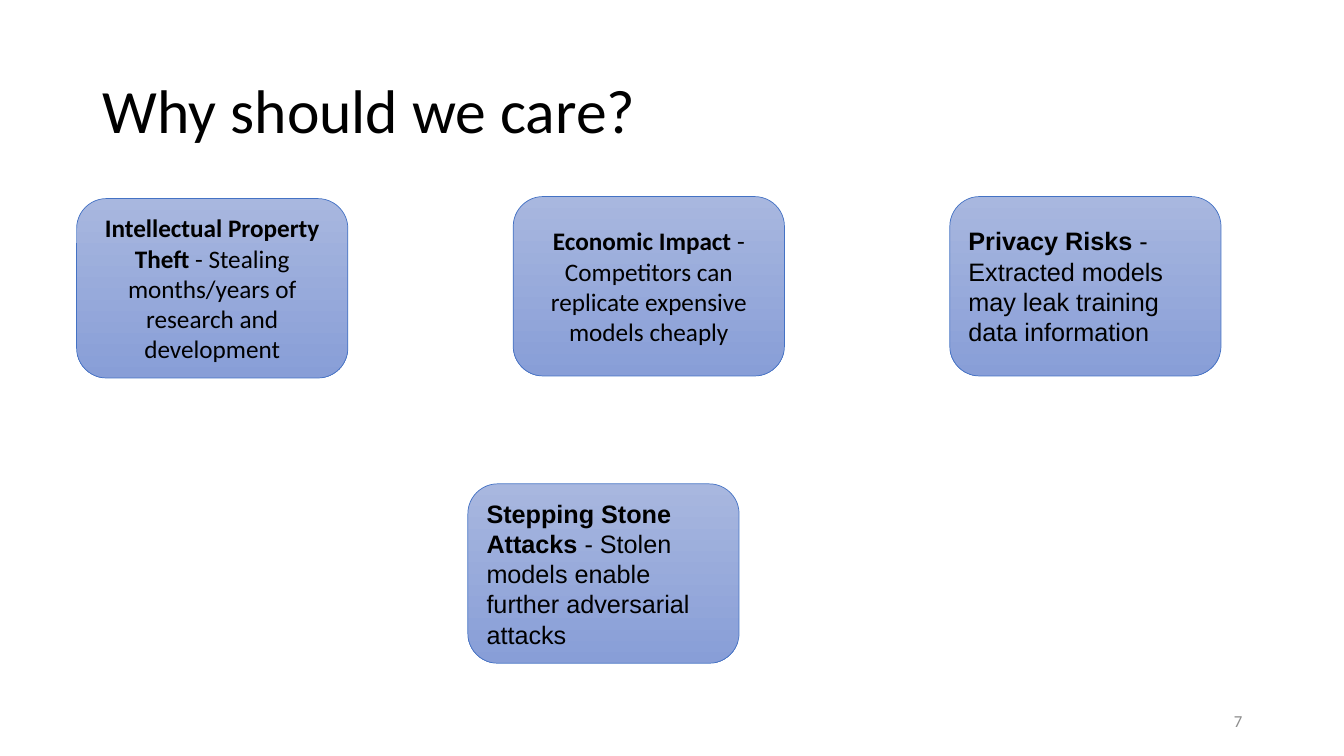
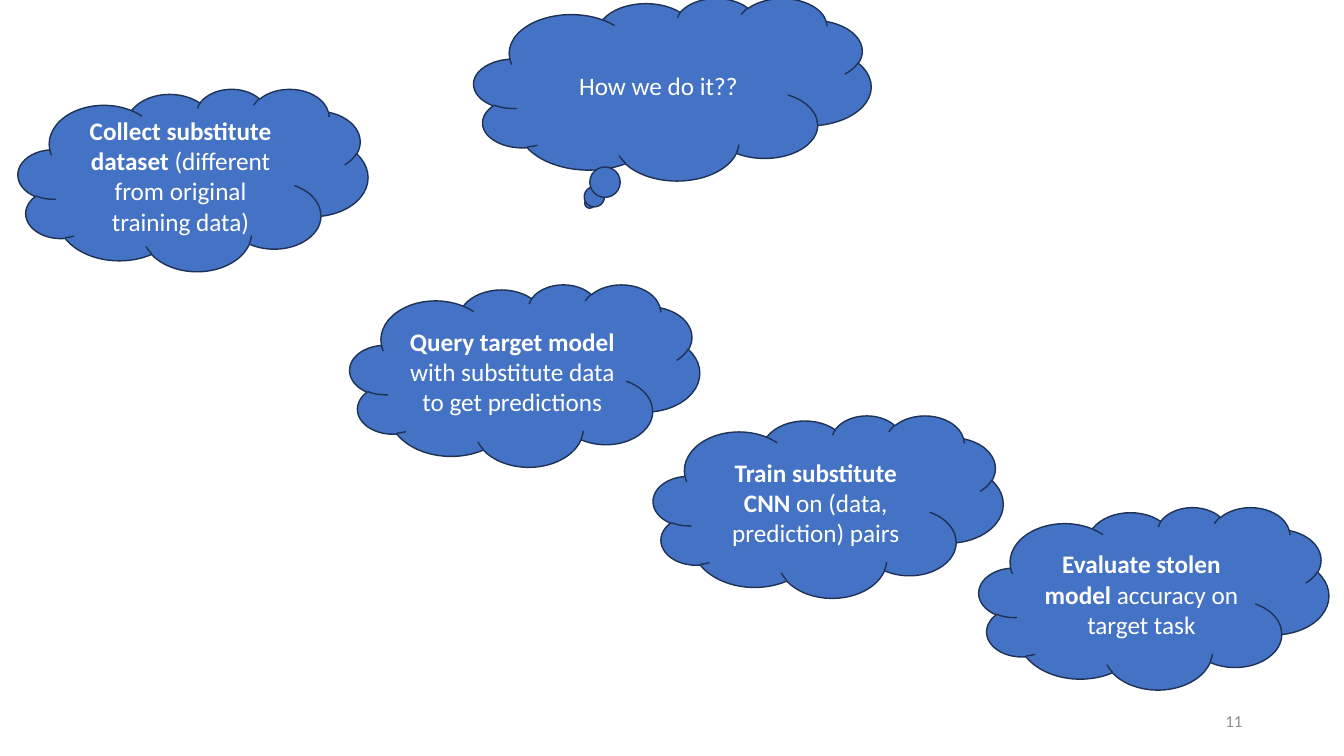
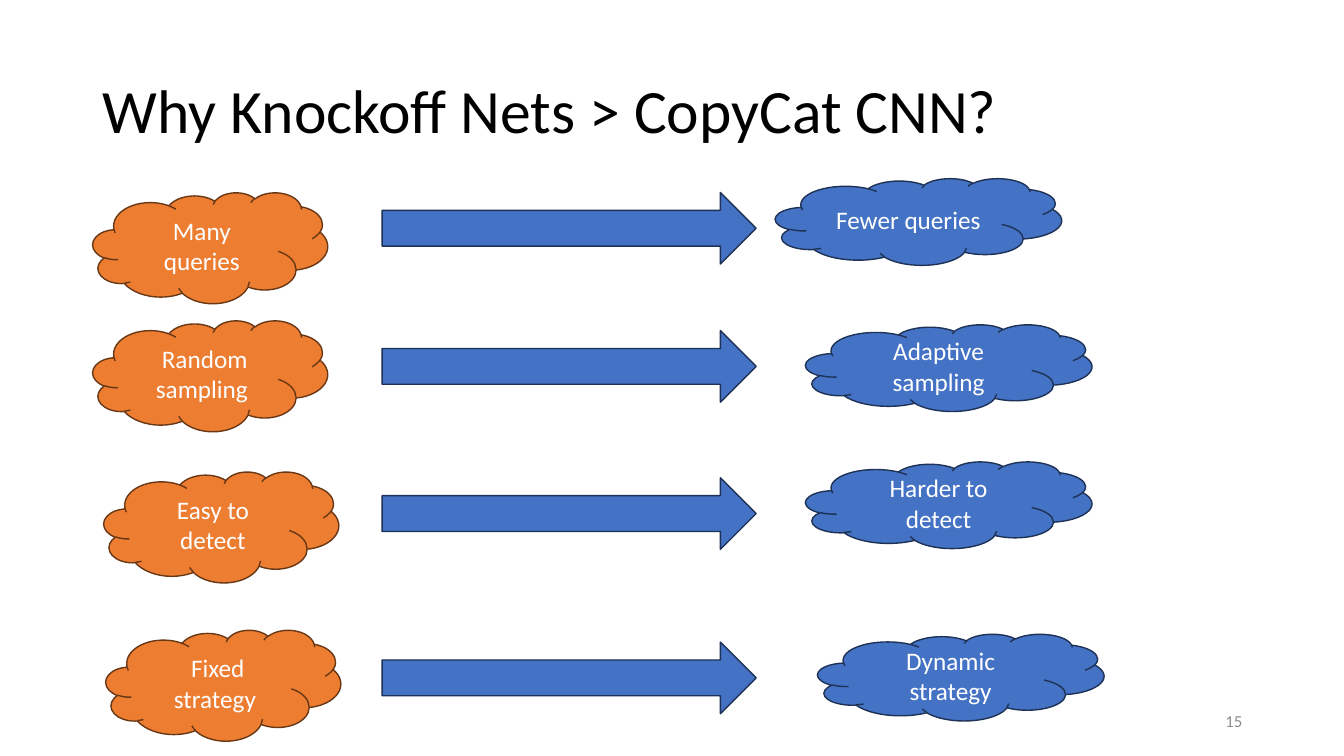
from pptx import Presentation, util as u
from pptx.dml.color import RGBColor
from pptx.enum import shapes, text
from pptx.util import Inches

WHITE = RGBColor(0xFF, 0xFF, 0xFF)
BLACK = RGBColor(0x00, 0x00, 0x00)
GREY = RGBColor(0x8C, 0x8C, 0x8C)
BLUE = RGBColor(0x44, 0x72, 0xC4)
NAVY = RGBColor(0x1E, 0x32, 0x56)
ORANGE = RGBColor(0xED, 0x7D, 0x31)
BROWN = RGBColor(0x68, 0x37, 0x15)
PALE_TOP = RGBColor(0xA8, 0xB7, 0xDF)
PALE_BOTTOM = RGBColor(0x88, 0x9E, 0xD7)
BODY_FONT = "Calibri"
TITLE_ONLY, BLANK = 5, 6
CLOUD = shapes.MSO_SHAPE.CLOUD
LEFT, CENTER, RIGHT = text.PP_ALIGN.LEFT, text.PP_ALIGN.CENTER, text.PP_ALIGN.RIGHT

deck = Presentation()
deck.slide_width, deck.slide_height = Inches(13.33), Inches(7.5)


def write(frame, pieces, size, color, align, font=BODY_FONT):
    frame.word_wrap = True
    frame.auto_size = text.MSO_AUTO_SIZE.NONE
    frame.vertical_anchor = text.MSO_ANCHOR.MIDDLE
    paragraph = frame.paragraphs[0]
    paragraph.alignment = align
    for wording, bold in pieces:
        run = paragraph.add_run()
        run.text = wording
        run.font.name, run.font.size, run.font.bold = font, u.Pt(size), bold
        run.font.color.rgb = color


def add_figure(slide, kind, box, fill=BLUE, outline=NAVY):
    figure = slide.shapes.add_shape(kind, *map(Inches, box))
    figure.shadow.inherit = False
    figure.fill.solid()
    figure.fill.fore_color.rgb = fill
    figure.line.color.rgb = outline
    figure.line.width = u.Pt(1)
    return figure


slides = []
for number, heading in [("7", "Why should we care?"), ("11", None),
                        ("15", "Why Knockoff Nets > CopyCat CNN?")]:
    slide = deck.slides.add_slide(deck.slide_layouts[TITLE_ONLY if heading else BLANK])
    slides.append(slide)
    if heading:
        title = slide.shapes.title
        title.left, title.top = Inches(0.92), Inches(0.4)
        title.width, title.height = Inches(11.5), Inches(1.45)
        write(title.text_frame, [(heading, False)], 44, BLACK, LEFT)
        title.text_frame.paragraphs[0].line_spacing = 0.9
    page = slide.shapes.add_textbox(Inches(9.42), Inches(6.95), Inches(3), Inches(0.4))
    write(page.text_frame, [(number, False)], 12, GREY, RIGHT)

reasons_slide, steps_slide, comparison_slide = slides

reasons = [
    (0.76, 1.97, "Intellectual Property Theft",
     " - Stealing months/years of research and development", CENTER, BODY_FONT),
    (4.64, 4.8, "Stepping Stone Attacks",
     " - Stolen models enable further adversarial attacks", LEFT, "Arial"),
    (5.09, 1.95, "Economic Impact",
     " - Competitors can replicate expensive models cheaply", CENTER, BODY_FONT),
    (9.42, 1.95, "Privacy Risks",
     " - Extracted models may leak training data information", LEFT, "Arial"),
]
for left, top, name, detail, align, font in reasons:
    reason = add_figure(reasons_slide, shapes.MSO_SHAPE.ROUNDED_RECTANGLE,
                        (left, top, 2.69, 1.78), outline=BLUE)
    reason.line.width = u.Pt(0.5)
    reason.fill.gradient()
    reason.fill.gradient_angle = 270
    for stop, color in zip(reason.fill.gradient_stops, (PALE_TOP, PALE_BOTTOM)):
        stop.color.rgb = color
    write(reason.text_frame, [(name, True), (detail, False)], 18, BLACK, align, font)

question = add_figure(steps_slide, shapes.MSO_SHAPE.CLOUD_CALLOUT, (4.7, -0.02, 3.94, 1.81))
write(question.text_frame, [("How we do it??", False)], 18, WHITE, CENTER)

steps = [
    (0.18, 0.88, "Collect substitute dataset", " (different from original training data)"),
    (3.47, 2.82, "Query target model", " with substitute data to get predictions"),
    (6.48, 4.12, "Train substitute CNN", " on (data, prediction) pairs"),
    (9.71, 5.03, "Evaluate stolen model", " accuracy on target task"),
]
for left, top, action, detail in steps:
    step = add_figure(steps_slide, CLOUD, (left, top, 3.47, 1.81))
    write(step.text_frame, [(action, True), (detail, False)], 18, WHITE, CENTER)

comparisons = [
    ((0.92, 1.91), "Many queries", 1.91, (7.69, 1.77), "Fewer queries"),
    ((0.92, 3.18), " Random sampling", 3.28, (7.99, 3.22), "Adaptive sampling"),
    ((1.03, 4.68), "Easy to detect", 4.74, (7.99, 4.58), "Harder to detect"),
    ((1.05, 6.25), " Fixed strategy", 6.37, (8.11, 6.29), "Dynamic strategy"),
]
for weak_at, weakness, arrow_top, strong_at, strength in comparisons:
    weak = add_figure(comparison_slide, CLOUD, (*weak_at, 2.33, 1.1), ORANGE, BROWN)
    write(weak.text_frame, [(weakness, False)], 18, WHITE, CENTER)
    strong = add_figure(comparison_slide, CLOUD, (*strong_at, 2.84, 0.86))
    write(strong.text_frame, [(strength, False)], 18, WHITE, CENTER)
    add_figure(comparison_slide, shapes.MSO_SHAPE.RIGHT_ARROW, (3.79, arrow_top, 3.71, 0.71))

deck.save("out.pptx")
